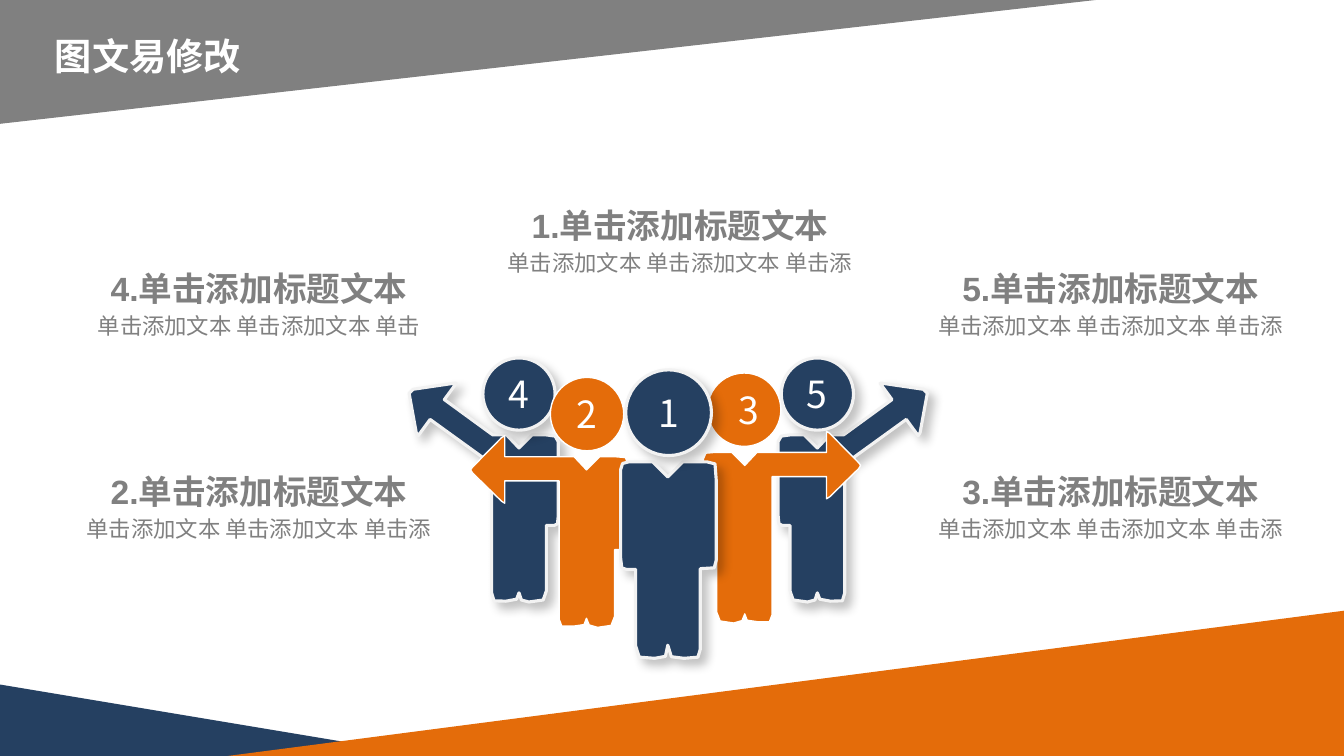
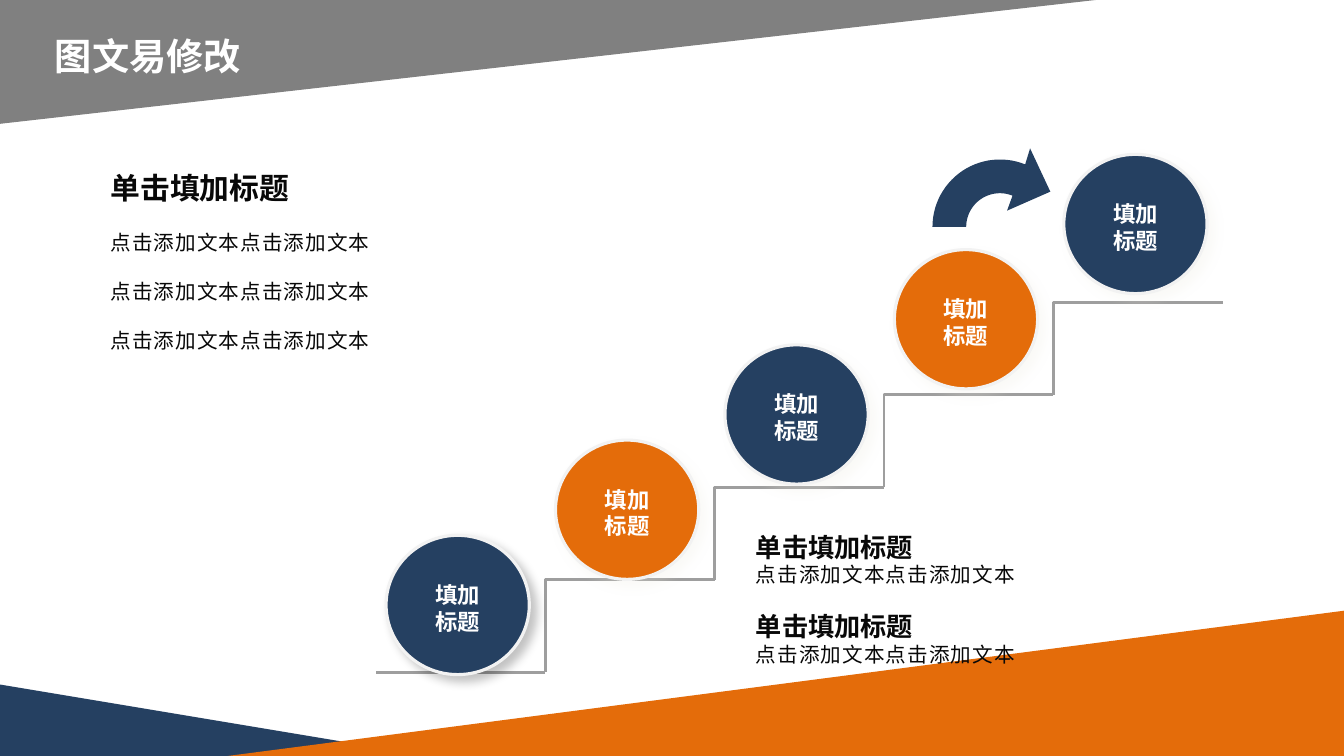
from dataclasses import dataclass
from math import cos, radians, sin

from lxml.etree import SubElement
from pptx import Presentation
from pptx.dml.color import RGBColor
from pptx.enum.shapes import MSO_CONNECTOR, MSO_SHAPE
from pptx.enum.text import MSO_ANCHOR, PP_ALIGN
from pptx.oxml.ns import qn
from pptx.util import Cm, Pt


@dataclass(frozen=True)
class Theme:
    navy: str = "254061"
    orange: str = "E46C0A"
    gray: str = "808080"
    white: str = "FFFFFF"
    rim: str = "F2F2F2"
    step: str = "9E9E9E"
    ink: str = "080808"
    dark: str = "000000"
    pale: str = "EEECE1"
    font: str = "Noto Sans CJK SC"
    latin: str = "Arial"
    title: float = 26.6
    digit: float = 26.7
    label: float = 24
    text: float = 16
    head: float = 21.3
    sub: float = 18.7
    body: float = 14.7


T = Theme()
WIDTH, HEIGHT = 33.87, 19.05
LEFT, MID = PP_ALIGN.LEFT, PP_ALIGN.CENTER

# Outlines in cm, arm to the right, from the top left of the body.
BACK = [
    (3.66, .15), (2.64, 0), (2.57, 0), (2.87, .41), (1.65, 1.3), (1.3, 1.3),
    (.99, 1.63), (.66, 1.3), (.3, 1.3), (.08, 1.33), (0, 1.47), (0, 3.33),
    (.02, 3.54), (.1, 3.58), (.3, 3.58), (.3, 5.23), (.38, 5.46), (.74, 5.51),
    (.93, 5.46), (.99, 5.28), (1.05, 5.44), (1.32, 5.49), (1.62, 5.48),
    (1.68, 5.28), (1.68, 2.03), (3.23, .91), (3.53, 1.32), (3.58, 1.24),
    (3.76, .25)]
SIDE = [
    (3.91, .79), (3.18, .05), (3.1, 0), (3.1, .53), (1.35, .53), (1.04, .86),
    (.71, .53), (.3, .53), (.06, .55), (0, .69), (0, 2.62), (.02, 2.83),
    (.1, 2.87), (.33, 2.87), (.33, 4.55), (.42, 4.78), (.76, 4.83),
    (.97, 4.77), (1.04, 4.6), (1.1, 4.76), (1.37, 4.8), (1.66, 4.8),
    (1.73, 4.62), (1.73, 1.14), (3.1, 1.14), (3.1, 1.7), (3.18, 1.65),
    (3.91, .94), (3.96, .86)]
FRONT = [
    (1.19, .41), (1.57, .03), (2.18, .03), (2.38, .08), (2.41, .48),
    (2.41, 2.51), (2.36, 2.7), (2.01, 2.72), (2.01, 4.75), (1.95, 4.95),
    (1.6, 4.98), (1.28, 4.94), (1.19, 4.65), (1.13, 4.93), (.86, 4.98),
    (.47, 4.95), (.38, 4.67), (.38, 2.74), (.15, 2.74), (.03, 2.7),
    (0, 2.44), (0, .23), (.05, .07), (.2, .03), (.81, .03)]


def rgb(code):
    return RGBColor.from_string(code)


def paint(shape, fill=None, line=None, width=1, shade=None):
    """Set fill, outline and, if shade is a colour, a soft shadow."""
    shape.shadow.inherit = False
    if fill:
        shape.fill.solid()
        shape.fill.fore_color.rgb = rgb(fill)
    else:
        shape.fill.background()
    if line:
        shape.line.color.rgb = rgb(line)
        shape.line.width = Pt(width)
    else:
        shape.line.fill.background()
    if shade:
        effects = shape._element.spPr.find(qn("a:effectLst"))
        outer = SubElement(effects, qn("a:outerShdw"), blurRad=str(Pt(7)),
                           dist=str(Pt(5.9)), dir="2700000", algn="tl",
                           rotWithShape="0")
        tint = SubElement(outer, qn("a:srgbClr"), val=shade)
        SubElement(tint, qn("a:alpha"), val="23000")
    return shape


def preset(slide, kind, left, top, wide, high, **look):
    shape = slide.shapes.add_shape(kind, Cm(left), Cm(top), Cm(wide), Cm(high))
    return paint(shape, **look)


def outline(slide, points, left, top, close=True, **look):
    spots = [(Cm(left + x), Cm(top + y)) for x, y in points]
    pen = slide.shapes.build_freeform(*spots[0])
    pen.add_line_segments(spots[1:], close=close)
    return paint(pen.convert_to_shape(), **look)


def box(slide, left, top, wide, high):
    frame = slide.shapes.add_textbox(
        Cm(left), Cm(top), Cm(wide), Cm(high)).text_frame
    frame.word_wrap = True
    return frame


def inset(frame, left=0, top=0):
    """Centre text in a shape; the margins push it right and down."""
    frame.margin_left, frame.margin_top = Cm(left), Cm(top)
    frame.margin_right = frame.margin_bottom = 0
    frame.vertical_anchor = MSO_ANCHOR.MIDDLE
    frame.word_wrap = False
    return frame


def write(frame, text, size=T.body, color=T.ink, bold=False, font=T.font,
          align=LEFT, lead=1.19, before=0, gap=0):
    """Add one paragraph; lead is line height over type size."""
    par = frame.paragraphs[0]
    if par.runs:
        par = frame.add_paragraph()
    par.alignment = align
    par.line_spacing = Pt(round(size * lead, 1))
    par.space_before = Pt(before)
    run = par.add_run()
    run.text = text
    run.font.size, run.font.bold, run.font.name = Pt(size), bold, font
    run.font.color.rgb = rgb(color)
    props = run.font._element
    SubElement(props, qn("a:ea"), typeface=T.font)
    if gap:
        props.set("spc", str(round(gap * 100)))


def base(deck, title):
    """Add a slide with the corner bands and its title."""
    slide = deck.slides.add_slide(deck.slide_layouts[6])
    bands = [
        (0, HEIGHT - 1.8, 10.8, 1.8, T.navy, False, 0),
        (WIDTH - 28.13, HEIGHT - 3.66, 28.13, 3.66, T.orange, True, 0),
        (0, 0, 27.61, 3.12, T.gray, True, 180)]
    for left, top, wide, high, fill, flip, turn in bands:
        band = preset(slide, MSO_SHAPE.RIGHT_TRIANGLE, left, top, wide, high,
                      fill=fill)
        band.rotation = turn
        if flip:
            band._element.spPr.xfrm.set("flipH", "1")
    frame = box(slide, 0, .84, 7.47, 1.14)
    frame.margin_left = frame.margin_right = frame.margin_top = 0
    write(frame, title, size=T.title, color=T.white, bold=True, align=MID)
    return slide


def person(slide, digit, points, left, top, head, flip=False, shift=0, **look):
    """Draw a body and a numbered head; head is its x, y and width."""
    span = max(x for x, y in points)
    x, y, wide = head
    if flip:
        points = [(span - px, py) for px, py in points]
        x = span - x - wide
    outline(slide, points, left, top, **look)
    ball = preset(slide, MSO_SHAPE.OVAL, left + x, top + y, wide, wide, **look)
    write(inset(ball.text_frame, left=shift), digit, size=T.digit,
          color=T.white, align=MID)


def crowd(slide, left, top):
    blue = dict(fill=T.navy, line=T.rim, width=2.25, shade=T.dark)
    warm = dict(fill=T.orange, line=T.white)
    far, near = (.08, -.64, 1.82), (.1, -1.47, 1.85)
    person(slide, "5", BACK, left + 9.3, top + .64, far, **blue)
    person(slide, "4", BACK, left, top + .64, far, flip=True, **blue)
    person(slide, "2", SIDE, left + 1.55, top + 1.96, near, flip=True, **warm)
    person(slide, "3", SIDE, left + 7.42, top + 1.85, near, shift=.22, **warm)
    person(slide, "1", FRONT, left + 5.33, top + 2.59, (.13, -2.29, 2.16), **blue)


def label(slide, left, top, head, text):
    frame = box(slide, left, top, 9.6, 2.31)
    look = dict(color=T.gray, font=T.latin, align=MID, lead=1.36)
    write(frame, head, size=T.label, bold=True, **look)
    write(frame, text, size=T.text, **look)


def team(deck):
    slide = base(deck, "图文易修改")
    crowd(slide, 10.31, 9.02)
    west, east, high, low = 1.73, 23.19, 6.35, 11.46
    long = "单击添加文本 单击添加文本 单击添"
    short = "单击添加文本 单击添加文本 单击"
    spots = [("5", east, high, long), ("3", east, low, long),
             ("4", west, high, short), ("2", west, low, long),
             ("1", 12.34, 4.75, long)]
    for digit, left, top, text in spots:
        label(slide, left, top + .15, f"{digit}.单击添加标题文本", text)


def stairs(slide, left, base_y, run=4.27, rise=2.33, count=4):
    line = slide.shapes.add_connector(
        MSO_CONNECTOR.STRAIGHT, Cm(left + run), Cm(base_y), Cm(left), Cm(base_y))
    line.line.color.rgb = rgb(T.step)
    line.line.width = Pt(2)
    SubElement(line._element.spPr, qn("a:effectLst"))
    for i in range(count):
        outline(slide, [(0, 0), (0, -rise), (run, -rise)],
                left + run * (i + 1), base_y - rise * i,
                close=False, line=T.step, width=2)
    for i in range(count + 1):
        ball = preset(slide, MSO_SHAPE.OVAL, left + .26 + run * i,
                      base_y - 3.45 - 2.4 * i, 3.61, 3.51,
                      fill=T.orange if i % 2 else T.navy, line=T.rim,
                      width=2.25, shade=T.pale if i else T.dark)
        frame = inset(ball.text_frame, top=.15)
        for text in ("填加", "标题"):
            write(frame, text, size=T.text, color=T.white, bold=True, align=MID)


def bend(slide, left, top, outer=1.7, inner=.85):
    """Draw a curved arrow round the centre left, top."""
    def arc(radius, angles):
        return [(radius * cos(radians(a)), -radius * sin(radians(a)))
                for a in angles]
    head = [(.76, -1.98), (1.27, -.89), (.18, -.41)]
    points = arc(outer, range(180, 67, -4)) + head + arc(inner, range(68, 181, 4))
    outline(slide, points, left, top, fill=T.navy)


def notes(slide, left, top):
    frame = box(slide, left, top, 10.54, 4.9)
    write(frame, "单击填加标题", size=T.head, bold=True)
    for _ in range(3):
        write(frame, "点击添加文本点击添加文本", before=17.5, gap=.7)


def pairs(slide, left, top):
    frame = box(slide, left, top, 13.87, 3.68)
    for before in (0, 17):
        write(frame, "单击填加标题", size=T.sub, bold=True, before=before)
        write(frame, "点击添加文本点击添加文本", gap=.7)


def climb(deck):
    slide = base(deck, "图文易修改")
    stairs(slide, 9.47, 16.94)
    notes(slide, 2.54, 4.17)
    bend(slide, 25.2, 5.72)
    pairs(slide, 18.8, 13.26)


def main():
    deck = Presentation()
    deck.slide_width, deck.slide_height = Cm(WIDTH), Cm(HEIGHT)
    team(deck)
    climb(deck)
    deck.save("out.pptx")


if __name__ == "__main__":
    main()
